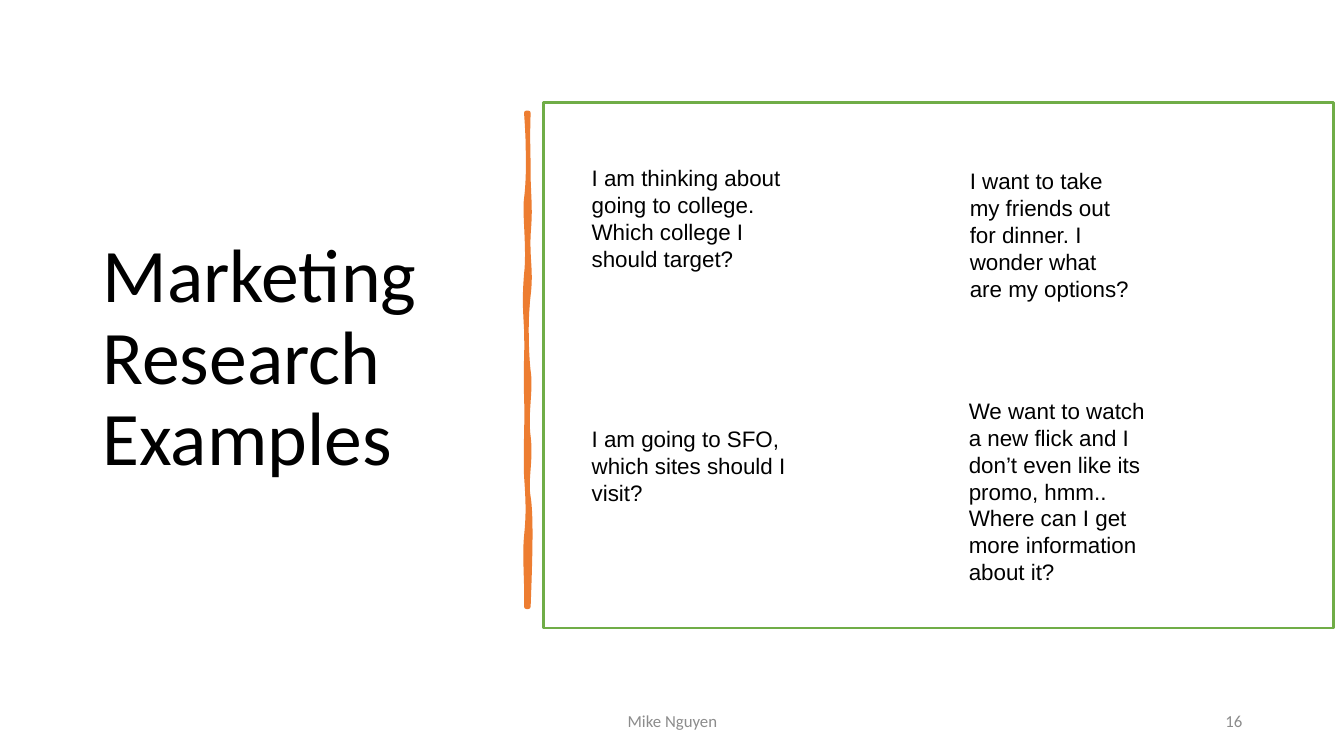
from lxml import etree
from pptx import Presentation
from pptx.dml.color import RGBColor
from pptx.enum import shapes, text
from pptx.oxml.ns import qn
from pptx.util import Inches, Pt

ORANGE, GREEN, GRAY, BLACK = "ED7D31", "70AD47", "8C8C8C", "000000"


def rgb(value):
    return RGBColor.from_string(value)


def add_text(words, left, top, width, height, size, font="Calibri", color=BLACK,
             anchor=text.MSO_ANCHOR.MIDDLE, align=text.PP_ALIGN.LEFT):
    box = slide.shapes.add_textbox(Inches(left), Inches(top), Inches(width), Inches(height))
    tf = box.text_frame
    tf.word_wrap = True
    tf.vertical_anchor = anchor
    p = tf.paragraphs[0]
    p.text = words
    p.alignment = align
    r = p.runs[0]
    r.font.size = Pt(size)
    r.font.name = font
    r.font.color.rgb = rgb(color)
    return box


prs = Presentation()
prs.slide_width, prs.slide_height = Inches(13.33), Inches(7.5)
slide = prs.slides.add_slide(prs.slide_layouts[6])

title = add_text("Marketing Research Examples", 0.92, 0.6, 3.94, 5.94, 54)
title.text_frame.paragraphs[0].line_spacing = 0.9

# Hand-drawn divider: a stroked outline and a filled body in one shape.
# Each row is one Bezier curve on the slide: two control points, then the end point.
RIGHT, TOP = 5.24, 1.12
stroke_curves = [
    (5.23, 1.42, 5.24, 1.49, 5.24, 1.77), (5.25, 2.06, 5.26, 2.07, 5.24, 2.33),
    (5.23, 2.59, 5.27, 2.69, 5.24, 2.93), (5.21, 3.17, 5.22, 3.5, 5.24, 3.68),
    (5.27, 3.86, 5.21, 4.1, 5.24, 4.33), (5.27, 4.56, 5.21, 4.76, 5.24, 4.93),
    (5.27, 5.11, 5.26, 5.51, 5.24, 6.02), (5.23, 6.02, 5.23, 6.02, 5.22, 6.02),
    (5.23, 5.84, 5.2, 5.53, 5.22, 5.32), (5.24, 5.12, 5.24, 5, 5.22, 4.72),
    (5.21, 4.44, 5.23, 4.22, 5.22, 3.92), (5.21, 3.63, 5.23, 3.47, 5.22, 3.27),
    (5.21, 3.07, 5.2, 2.97, 5.22, 2.72), (5.25, 2.47, 5.2, 2.12, 5.22, 1.97),
    (5.24, 1.82, 5.25, 1.52, 5.22, 1.12), (5.23, 1.12, 5.24, 1.12, 5.24, 1.12),
]
body_curves = [
    (5.24, 1.44, 5.22, 1.48, 5.24, 1.77), (5.26, 2.07, 5.25, 2.21, 5.24, 2.33),
    (5.23, 2.45, 5.28, 2.85, 5.24, 3.13), (5.2, 3.41, 5.24, 3.51, 5.24, 3.78),
    (5.25, 4.04, 5.22, 4.17, 5.24, 4.43), (5.27, 4.69, 5.24, 4.9, 5.24, 5.23),
    (5.24, 5.55, 5.22, 5.83, 5.24, 6.02), (5.24, 6.02, 5.23, 6.02, 5.22, 6.02),
    (5.25, 5.8, 5.2, 5.72, 5.22, 5.42), (5.25, 5.13, 5.22, 4.9, 5.22, 4.72),
    (5.23, 4.54, 5.21, 4.28, 5.22, 4.02), (5.24, 3.77, 5.23, 3.57, 5.22, 3.37),
    (5.21, 3.17, 5.19, 2.84, 5.22, 2.57), (5.25, 2.31, 5.23, 1.98, 5.22, 1.77),
    (5.21, 1.56, 5.23, 1.31, 5.22, 1.12), (5.23, 1.12, 5.24, 1.12, 5.24, 1.12),
]
length, thickness = Inches(4.9), Inches(0.02)
builder = slide.shapes.build_freeform(0, 0)
builder.add_line_segments([(length, 0), (length, thickness), (0, thickness)])
divider = builder.convert_to_shape(Inches(2.78), Inches(3.56))
divider.rotation = 90
divider.shadow.inherit = False
divider.fill.solid()
divider.fill.fore_color.rgb = rgb(ORANGE)
divider.line.color.rgb = rgb(ORANGE)
divider.line.width = Pt(3.25)

outlines = next(divider._element.iter(qn("a:pathLst")))
outlines.clear()
for curves, switch_off in ((stroke_curves, {"fill": "none"}), (body_curves, {"stroke": "0"})):
    outline = etree.SubElement(outlines, qn("a:path"), w=str(length), h=str(thickness), **switch_off)
    start = etree.SubElement(outline, qn("a:moveTo"))
    etree.SubElement(start, qn("a:pt"), x="0", y="0")
    for curve in curves:
        bezier = etree.SubElement(outline, qn("a:cubicBezTo"))
        for x, y in zip(curve[::2], curve[1::2]):
            # The shape lies flat before its quarter turn, so the axes swap.
            etree.SubElement(bezier, qn("a:pt"), x=str(Inches(y - TOP)), y=str(Inches(RIGHT - x)))
    etree.SubElement(outline, qn("a:close"))

for words, left, width, align in (
    ("Mike Nguyen", 4.42, 4.5, text.PP_ALIGN.CENTER),
    ("16", 9.42, 3, text.PP_ALIGN.RIGHT),
):
    footer = add_text(words, left, 6.95, width, 0.4, 12, color=GRAY, align=align)
    footer.text_frame.paragraphs[0].space_after = Pt(6)

frame = slide.shapes.add_shape(shapes.MSO_SHAPE.RECTANGLE,
                               Inches(5.39), Inches(1.02), Inches(7.84), Inches(5.21))
frame.shadow.inherit = False
frame.fill.solid()
frame.fill.fore_color.rgb = rgb("FFFFFF")
frame.line.color.rgb = rgb(GREEN)
frame.line.width = Pt(2)

examples = [
    ("I am thinking about going to college. Which college I should target?",
     5.77, 1.58, 2.36, 1.18),
    ("I am going to SFO, which sites should I visit?", 5.77, 4.17, 2.36, 0.92),
    ("I want to take my friends out for dinner. I wonder what are my options?",
     9.52, 1.61, 1.81, 1.45),
    ("We want to watch a new flick and I don’t even like its promo, hmm.. "
     "Where can I get more information about it?", 9.51, 3.89, 1.95, 1.99),
]
for words, *place in examples:
    example = add_text(words, *place, 16, font="Arial", anchor=text.MSO_ANCHOR.TOP)
    example.text_frame.auto_size = text.MSO_AUTO_SIZE.SHAPE_TO_FIT_TEXT

prs.save("out.pptx")
